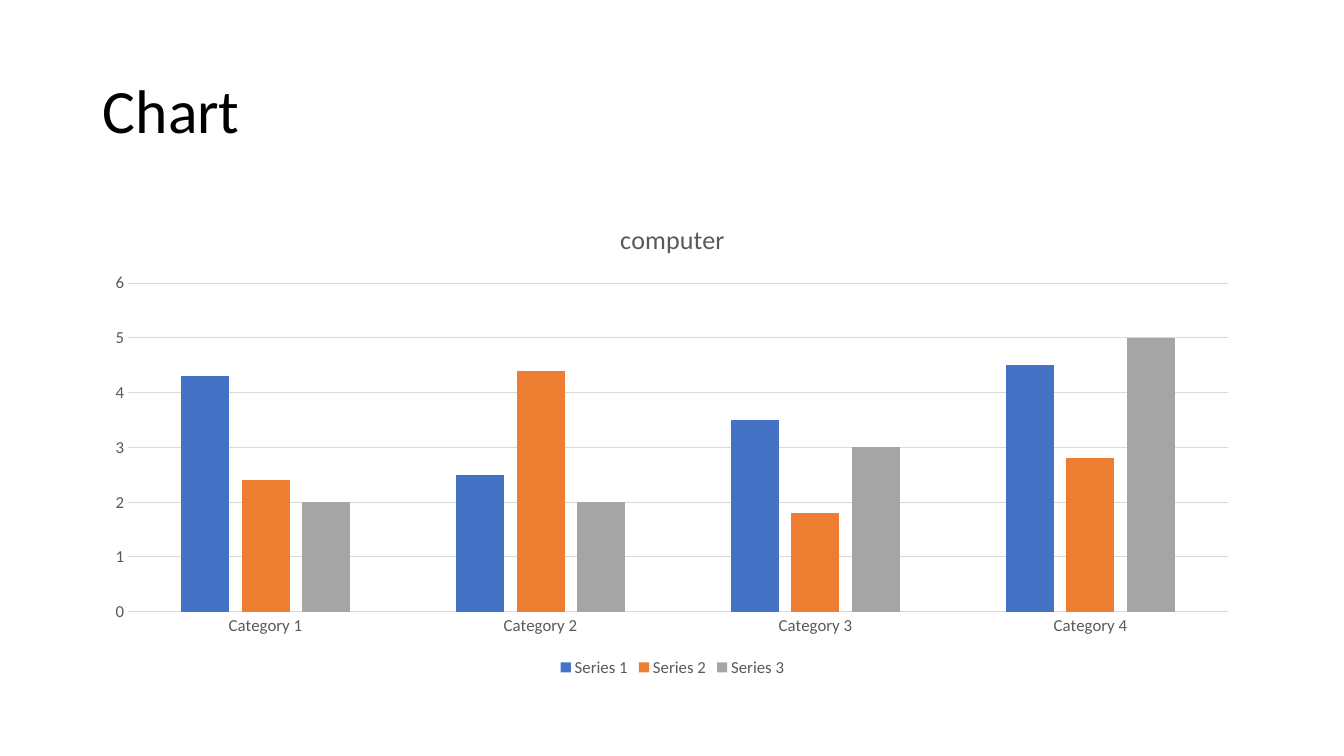
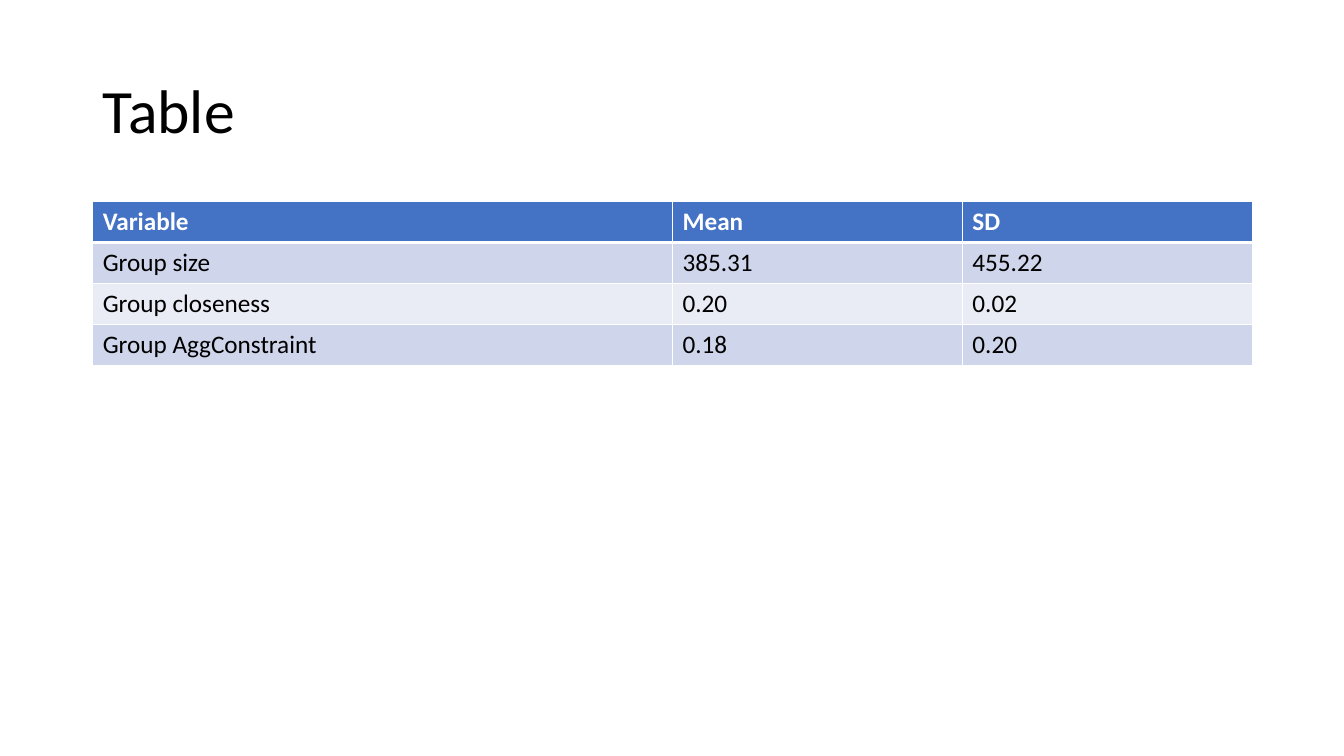
from dataclasses import dataclass

from lxml import etree
from pptx import Presentation
from pptx.chart.axis import CategoryAxis, ValueAxis
from pptx.chart.chart import Chart
from pptx.chart.data import CategoryChartData
from pptx.dml.color import RGBColor
from pptx.enum.chart import XL_CHART_TYPE, XL_LEGEND_POSITION, XL_TICK_MARK
from pptx.enum.text import MSO_ANCHOR, PP_ALIGN
from pptx.oxml.ns import qn
from pptx.slide import Slide
from pptx.table import _Cell
from pptx.text.text import Font
from pptx.util import Inches, Pt

FONT = "Calibri"
BLACK = RGBColor(0x00, 0x00, 0x00)
WHITE = RGBColor(0xFF, 0xFF, 0xFF)
BLUE = RGBColor(0x44, 0x72, 0xC4)
ORANGE = RGBColor(0xED, 0x7D, 0x31)
GREY = RGBColor(0xA5, 0xA5, 0xA5)
CHART_TEXT = RGBColor(0x59, 0x59, 0x59)
GRID = RGBColor(0xD9, 0xD9, 0xD9)
BANDS = (RGBColor(0xCF, 0xD5, 0xEA), RGBColor(0xE9, 0xEB, 0xF5))

TITLE_ONLY = 5
MARGIN, CONTENT_TOP, CONTENT_WIDTH = 0.92, 2.0, 11.5
CHART_HEIGHT = 4.76
ROW_HEIGHT = 0.405


@dataclass(frozen=True)
class Series:
    """One coloured set of columns."""
    name: str
    values: tuple[float, ...]
    color: RGBColor


CATEGORIES = [f"Category {number}" for number in range(1, 5)]
SERIES = (
    Series("Series 1", (4.3, 2.5, 3.5, 4.5), BLUE),
    Series("Series 2", (2.4, 4.4, 1.8, 2.8), ORANGE),
    Series("Series 3", (2, 2, 3, 5), GREY),
)
COLUMN_WIDTHS = (5.75, 2.875, 2.875)
ROWS = (
    ("Variable", "Mean", "SD"),
    ("Group size", "385.31", "455.22"),
    ("Group closeness", "0.20", "0.02"),
    ("Group AggConstraint", "0.18", "0.20"),
)


def style_font(font: Font, size: float, color: RGBColor, bold: bool = False) -> None:
    """Apply the deck's typeface with a size, colour and weight."""
    font.name, font.size, font.bold = FONT, Pt(size), bold
    font.color.rgb = color


def add_titled_slide(prs: Presentation, text: str) -> Slide:
    """Add a slide with the shared title style."""
    slide = prs.slides.add_slide(prs.slide_layouts[TITLE_ONLY])
    title = slide.shapes.title
    title.left, title.top = Inches(MARGIN), Inches(0.4)
    title.width, title.height = Inches(CONTENT_WIDTH), Inches(1.45)
    frame = title.text_frame
    frame.text = text
    frame.word_wrap = True
    frame.vertical_anchor = MSO_ANCHOR.MIDDLE
    paragraph = frame.paragraphs[0]
    paragraph.alignment = PP_ALIGN.LEFT
    paragraph.line_spacing = 0.9
    style_font(paragraph.runs[0].font, 44, BLACK)
    return slide


def style_axis(axis: CategoryAxis | ValueAxis) -> None:
    """Give an axis grey labels and no tick marks."""
    axis.major_tick_mark = axis.minor_tick_mark = XL_TICK_MARK.NONE
    style_font(axis.tick_labels.font, 12, CHART_TEXT)


def place_plot(chart: Chart, left: float, top: float, width: float, height: float) -> None:
    """Fix the inner plot area, in inches from the chart's corner."""
    plot_area = chart.plots[0]._element.getparent()
    for old in plot_area.findall(qn("c:layout")):
        plot_area.remove(old)
    layout = etree.Element(qn("c:layout"))
    plot_area.insert(0, layout)
    manual = etree.SubElement(layout, qn("c:manualLayout"))
    settings = {
        "layoutTarget": "inner", "xMode": "edge", "yMode": "edge",
        "x": left / CONTENT_WIDTH, "y": top / CHART_HEIGHT,
        "w": width / CONTENT_WIDTH, "h": height / CHART_HEIGHT,
    }
    for tag, value in settings.items():
        etree.SubElement(manual, qn(f"c:{tag}"), val=str(value))


def add_column_chart(slide: Slide, title: str) -> None:
    """Draw the clustered columns with title, axes and legend."""
    data = CategoryChartData()
    data.categories = CATEGORIES
    for series in SERIES:
        data.add_series(series.name, series.values)
    chart = slide.shapes.add_chart(
        XL_CHART_TYPE.COLUMN_CLUSTERED, Inches(MARGIN), Inches(CONTENT_TOP),
        Inches(CONTENT_WIDTH), Inches(CHART_HEIGHT), data).chart
    style_font(chart.font, 12, CHART_TEXT)

    chart.has_title = True
    chart.chart_title.include_in_layout = False
    heading = chart.chart_title.text_frame
    heading.text = title
    style_font(heading.paragraphs[0].runs[0].font, 18.6, CHART_TEXT)

    chart.has_legend = True
    chart.legend.position = XL_LEGEND_POSITION.BOTTOM
    chart.legend.include_in_layout = False
    style_font(chart.legend.font, 12, CHART_TEXT)

    plot = chart.plots[0]
    plot.gap_width, plot.overlap, plot.vary_by_categories = 219, -27, False
    for drawn, series in zip(plot.series, SERIES):
        drawn.format.fill.solid()
        drawn.format.fill.fore_color.rgb = series.color
        drawn.invert_if_negative = False

    categories, values = chart.category_axis, chart.value_axis
    style_axis(categories)
    style_axis(values)
    values.minimum_scale, values.maximum_scale, values.major_unit = 0, 6, 1
    values.format.line.fill.background()
    values.has_major_gridlines = True
    for line in (categories.format.line, values.major_gridlines.format.line):
        line.color.rgb, line.width = GRID, Pt(0.75)
    place_plot(chart, 0.35, 0.81, 10.91, 3.26)


def set_borders(cell: _Cell, bottom: float) -> None:
    """Outline a cell in white, with a chosen bottom width in points."""
    properties = cell._tc.get_or_add_tcPr()
    widths = {"lnL": 1, "lnR": 1, "lnT": 1, "lnB": bottom}
    for position, (tag, width) in enumerate(widths.items()):
        line = etree.Element(qn(f"a:{tag}"), w=str(Pt(width)))
        fill = etree.SubElement(line, qn("a:solidFill"))
        etree.SubElement(fill, qn("a:srgbClr"), val=str(WHITE))
        properties.insert(position, line)


def add_statistics_table(slide: Slide) -> None:
    """Draw the table with a blue header and banded rows."""
    table = slide.shapes.add_table(
        len(ROWS), len(COLUMN_WIDTHS), Inches(MARGIN), Inches(CONTENT_TOP),
        Inches(CONTENT_WIDTH), Inches(ROW_HEIGHT * len(ROWS))).table
    for column, width in zip(table.columns, COLUMN_WIDTHS):
        column.width = Inches(width)
    for r, texts in enumerate(ROWS):
        header = r == 0
        table.rows[r].height = Inches(ROW_HEIGHT)
        for c, text in enumerate(texts):
            cell = table.cell(r, c)
            cell.text = text
            cell.fill.solid()
            cell.fill.fore_color.rgb = BLUE if header else BANDS[(r - 1) % 2]
            style_font(cell.text_frame.paragraphs[0].runs[0].font, 18,
                       WHITE if header else BLACK, header)
            set_borders(cell, 3 if header else 1)


def main() -> None:
    """Build and save both slides."""
    prs = Presentation()
    prs.slide_width, prs.slide_height = Inches(13.33), Inches(7.5)
    add_column_chart(add_titled_slide(prs, "Chart"), "computer")
    add_statistics_table(add_titled_slide(prs, "Table"))
    prs.save("out.pptx")


main()
